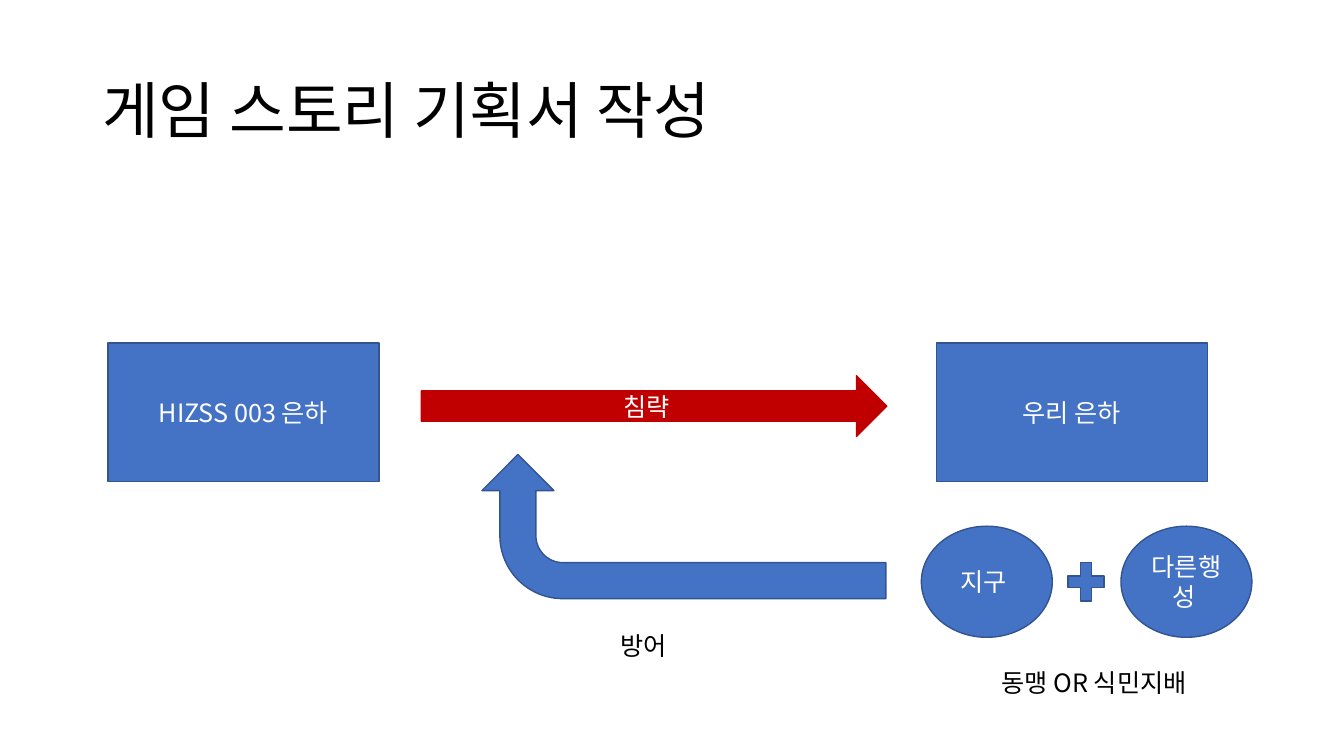
from lxml import etree
from pptx import Presentation
from pptx import util as u
from pptx.dml.color import RGBColor
from pptx.enum import shapes, text
from pptx.oxml.ns import qn

BLUE = RGBColor(0x44, 0x72, 0xC4)
NAVY = RGBColor(0x32, 0x54, 0x91)
RED = RGBColor(0xC0, 0x00, 0x00)
WHITE = RGBColor(0xFF, 0xFF, 0xFF)
BLACK = RGBColor(0x00, 0x00, 0x00)
KIND = shapes.MSO_SHAPE


class Page:
    font = "Noto Sans CJK KR"

    def __init__(self, deck):
        self.slide = deck.slides.add_slide(deck.slide_layouts[6])

    def letter(self, item, words, color, size=18):
        frame = item.text_frame
        frame.text = words
        for run in frame.paragraphs[0].runs:
            run.font.name = self.font
            run.font.size = u.Pt(size)
            run.font.color.rgb = color
            east = etree.SubElement(run._r.get_or_add_rPr(), qn("a:ea"))
            east.set("typeface", self.font)
        return frame

    def shape(self, kind, box, words="", fill=BLUE, line=NAVY, turn=0):
        item = self.slide.shapes.add_shape(kind, *map(u.Cm, box))
        item.shadow.inherit = False
        item.fill.solid()
        item.fill.fore_color.rgb = fill
        item.line.color.rgb = line
        item.line.width = u.Pt(1)
        item.rotation = turn
        if words:
            frame = self.letter(item, words, WHITE)
            frame.vertical_anchor = text.MSO_ANCHOR.MIDDLE
            frame.paragraphs[0].alignment = text.PP_ALIGN.CENTER

    def label(self, box, words, size=18):
        item = self.slide.shapes.add_textbox(*map(u.Cm, box))
        frame = self.letter(item, words, BLACK, size)
        frame.word_wrap = True
        return frame


def main():
    deck = Presentation()
    deck.slide_width = u.Cm(33.87)
    deck.slide_height = u.Cm(19.05)
    page = Page(deck)

    title = page.label((2.33, 1.01, 29.21, 3.68), "게임 스토리 기획서 작성", 44)
    title.vertical_anchor = text.MSO_ANCHOR.MIDDLE
    title.paragraphs[0].line_spacing = 0.9

    for left, name in ((2.72, "HIZSS 003 은하"), (23.6, "우리 은하")):
        page.shape(KIND.RECTANGLE, (left, 8.64, 6.83, 3.5), name)
    for left, name in ((23.22, "지구 "), (28.25, "다른행성 ")):
        page.shape(KIND.OVAL, (left, 13.26, 3.3, 2.8), name)
    page.shape(KIND.MATH_PLUS, (26.75, 14, 1.24, 1.32))

    page.shape(KIND.RIGHT_ARROW, (10.62, 9.47, 11.73, 1.53), "침략", RED, RED)
    page.shape(KIND.BENT_ARROW, (15.42, 8.18, 3.63, 10.18), turn=270)

    page.label((15.39, 15.77, 2.18, 1.02), "방어")
    page.label((24.99, 16.69, 6, 1.02), "동맹 OR 식민지배")

    deck.save("out.pptx")


if __name__ == "__main__":
    main()
